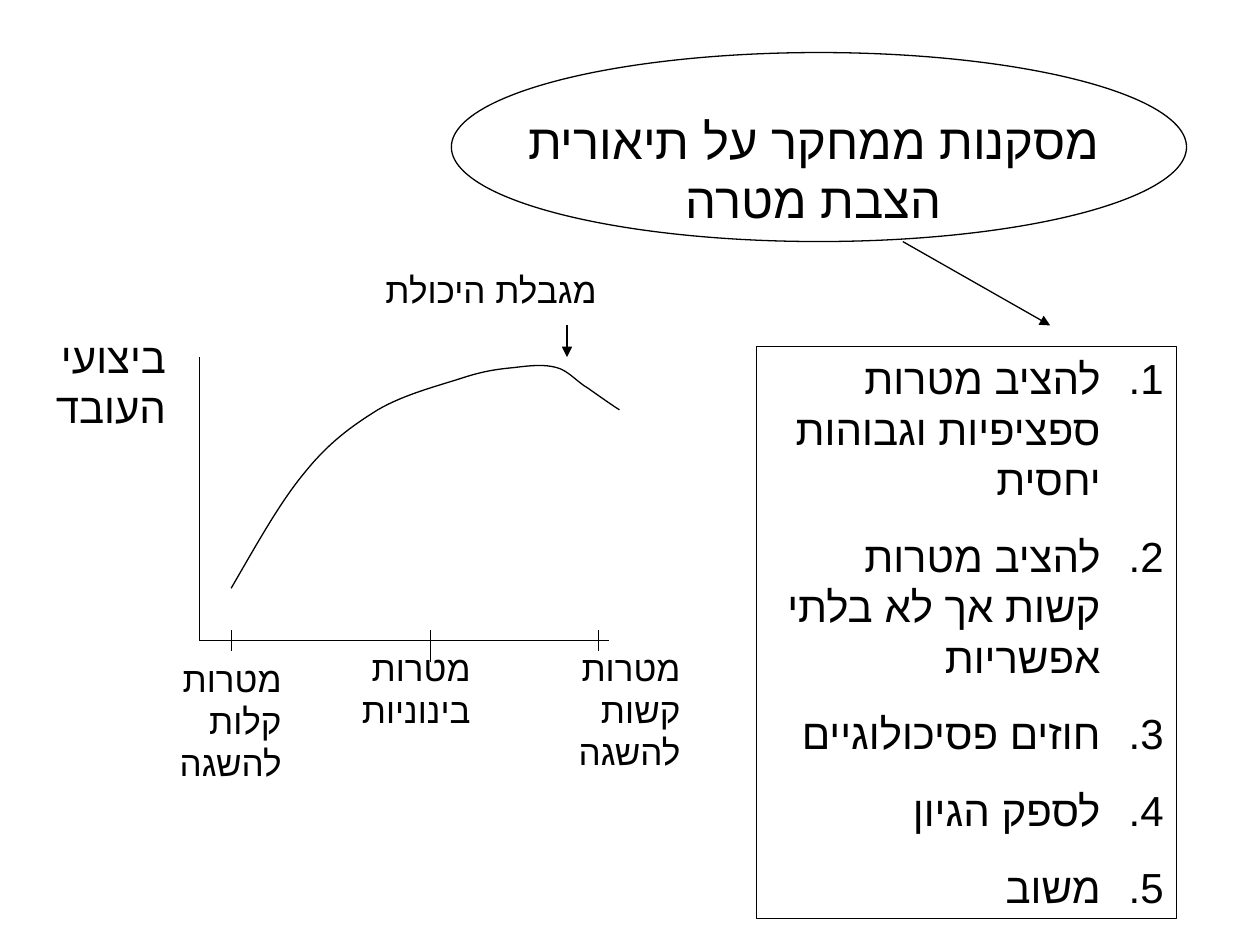
import pptx
import pptx.util
import pptx.dml.color
import pptx.enum.shapes
import pptx.enum.text
import pptx.oxml.ns
from lxml import etree

Cm = pptx.util.Cm
Pt = pptx.util.Pt
qn = pptx.oxml.ns.qn
Align = pptx.enum.text.PP_ALIGN
Kind = pptx.enum.shapes.MSO_SHAPE

INK = {"black": "000000"}
FONT = "Times New Roman"
HEBREW = "Arial"
THIN = 0.75

TITLE = "מסקנות ממחקר על תיאורית הצבת מטרה"
POINTS = [
    "להציב מטרות ספציפיות וגבוהות יחסית",
    "להציב מטרות קשות אך לא בלתי אפשריות",
    "חוזים פסיכולוגיים",
    "לספק הגיון",
    "משוב",
]
LABELS = [
    ("מטרות קשות להשגה", 20, (10.37, 12.91, 3.6, 2.79)),
    ("מטרות בינוניות", 20, (6.99, 12.91, 2.75, 1.96)),
    ("מטרות קלות להשגה", 20, (2.33, 13.12, 3.6, 2.79)),
    ("ביצועי העובד", 24, (0.85, 6.56, 2.75, 2.29)),
    ("מגבלת היכולת", 20, (4.66, 5.29, 7.62, 1.12)),
]
LEFT, BASE = 4.02, 12.91
TICKS = [(12.07, 13.12), (8.68, 13.34), (4.66, 13.12)]
CURVE = [
    (4.66, 11.86),
    (5.16, 11.0), (5.64, 10.13), (6.14, 9.53),
    (6.63, 8.92), (7.09, 8.59), (7.62, 8.26),
    (8.15, 7.95), (8.86, 7.77), (9.32, 7.62),
    (9.78, 7.47), (10.06, 7.44), (10.37, 7.41),
    (10.69, 7.37), (10.97, 7.34), (11.22, 7.41),
    (11.46, 7.47), (11.63, 7.7), (11.86, 7.83),
    (12.07, 7.98), (12.5, 8.28), (12.49, 8.26),
]


def tint(name):
    return pptx.dml.color.RGBColor.from_string(INK[name])


def place(shape, box):
    shape.left, shape.top, shape.width, shape.height = map(Cm, box)


def stroke(shape, width=THIN):
    shape.line.color.rgb = tint("black")
    shape.line.width = Pt(width)


def hollow(shape, width=THIN):
    shape.shadow.inherit = False
    shape.fill.background()
    stroke(shape, width)


def write(shape, lines, size, align, count=False):
    frame = shape.text_frame
    frame.word_wrap = True
    frame.auto_size = pptx.enum.text.MSO_AUTO_SIZE.NONE
    frame.vertical_anchor = pptx.enum.text.MSO_ANCHOR.TOP
    frame.text = "\n".join(lines)
    for rank, para in enumerate(frame.paragraphs):
        para.alignment = align
        props = para._p.get_or_add_pPr()
        props.set("rtl", "1")
        if rank:
            para.space_before = Pt(15)
        if count:
            props.set("marL", str(Cm(1.27)))
            props.set("indent", str(Cm(-1.27)))
            mark = etree.SubElement(props, qn("a:buAutoNum"))
            mark.set("type", "arabicPeriod")
        for run in para.runs:
            run.font.size = Pt(size)
            run.font.name = FONT
            run.font.color.rgb = tint("black")
            script = etree.SubElement(run._r.get_or_add_rPr(), qn("a:cs"))
            script.set("typeface", HEBREW)


def add_label(slide, text, size, box):
    label = slide.shapes.add_textbox(*map(Cm, box))
    write(label, [text], size, Align.RIGHT)


def add_line(slide, start, end, arrow=False):
    line = slide.shapes.add_connector(
        pptx.enum.shapes.MSO_CONNECTOR.STRAIGHT, *map(Cm, start + end)
    )
    stroke(line)
    if arrow:
        tip = etree.SubElement(line.line._get_or_add_ln(), qn("a:tailEnd"))
        tip.set("type", "triangle")
    etree.SubElement(line._element.spPr, qn("a:effectLst"))


def add_curve(slide, points):
    spots = [(Cm(x), Cm(y)) for x, y in points]
    maker = slide.shapes.build_freeform(*spots[0])
    maker.add_line_segments(spots[1:], close=False)
    curve = maker.convert_to_shape()
    hollow(curve)
    steps = list(curve._element.iter(qn("a:lnTo")))
    for first in range(0, len(steps), 3):
        trio = steps[first:first + 3]
        bend = etree.Element(qn("a:cubicBezTo"))
        trio[0].addprevious(bend)
        for step in trio:
            bend.append(step[0])
            step.getparent().remove(step)


def add_graph(slide):
    add_line(slide, (LEFT, 7.2), (LEFT, BASE))
    add_line(slide, (LEFT, BASE), (12.28, BASE))
    for x, end in TICKS:
        add_line(slide, (x, 12.7), (x, end))
    for label in LABELS:
        add_label(slide, *label)
    add_curve(slide, CURVE)
    add_line(slide, (11.43, 6.56), (11.43, 7.2), arrow=True)


def add_head(slide):
    title = slide.shapes.title
    place(title, (9.32, 2.11, 14.17, 2.64))
    write(title, [TITLE], 28, Align.CENTER)
    ring = slide.shapes.add_shape(Kind.OVAL, *map(Cm, (9.1, 1.06, 14.82, 3.81)))
    hollow(ring)


def add_list(slide):
    box = slide.shapes.add_shape(
        Kind.RECTANGLE, *map(Cm, (15.24, 6.99, 8.47, 11.53))
    )
    hollow(box, 0.25)
    write(box, POINTS, 24, Align.RIGHT, count=True)


def main():
    deck = pptx.Presentation()
    deck.slide_width, deck.slide_height = Cm(25.4), Cm(19.05)
    slide = deck.slides.add_slide(deck.slide_layouts[5])
    add_head(slide)
    add_list(slide)
    add_graph(slide)
    add_line(slide, (18.2, 4.87), (21.17, 6.56), arrow=True)
    deck.save("out.pptx")


if __name__ == "__main__":
    main()
